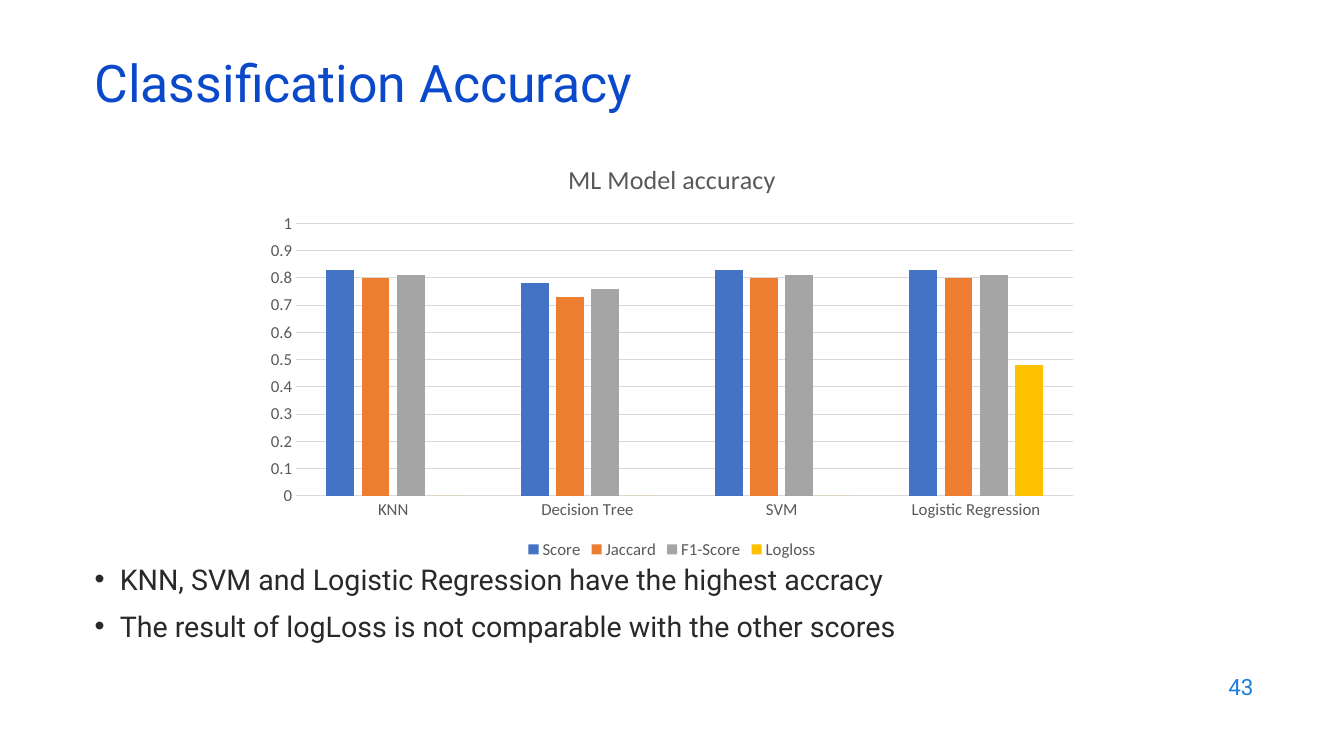
import pptx
import pptx.chart.data
import pptx.dml.color
import pptx.enum.chart
import pptx.enum.text
import pptx.oxml
import pptx.oxml.ns
import pptx.util

Inches = pptx.util.Inches
Pt = pptx.util.Pt
RGBColor = pptx.dml.color.RGBColor
Anchor = pptx.enum.text.MSO_ANCHOR
Align = pptx.enum.text.PP_ALIGN

TITLE_BLUE = RGBColor(0x0B, 0x49, 0xCB)
NUMBER_BLUE = RGBColor(0x1C, 0x7D, 0xDB)
BODY_INK = RGBColor(0x29, 0x29, 0x29)
CHART_INK = RGBColor(0x59, 0x59, 0x59)
GRID_GREY = RGBColor(0xD9, 0xD9, 0xD9)
SCORE_BLUE = RGBColor(0x44, 0x72, 0xC4)
JACCARD_ORANGE = RGBColor(0xED, 0x7D, 0x31)
F1_GREY = RGBColor(0xA5, 0xA5, 0xA5)
LOGLOSS_YELLOW = RGBColor(0xFF, 0xC0, 0x00)

MODELS = ["KNN", "Decision Tree", "SVM", "Logistic Regression"]
METRICS = [
    ("Score", [0.83, 0.78, 0.83, 0.83], SCORE_BLUE),
    ("Jaccard", [0.8, 0.73, 0.8, 0.8], JACCARD_ORANGE),
    ("F1-Score", [0.81, 0.76, 0.81, 0.81], F1_GREY),
    ("Logloss", [0, 0, 0, 0.48], LOGLOSS_YELLOW),
]
FINDINGS = [
    "KNN, SVM and Logistic Regression have the highest accracy",
    "The result of logLoss is not comparable with the other scores",
]


class SlideBuilder:
    text_font = "Roboto"
    chart_font = "Calibri"

    def __init__(self, slide):
        self.slide = slide

    def style(self, font, name, size, color):
        font.name = name
        font.size = Pt(size)
        font.color.rgb = color

    def text(self, box, lines, size, color, anchor=Anchor.TOP,
             align=Align.LEFT, spacing=1.0, gap=0, bullet=False):
        frame = self.slide.shapes.add_textbox(*map(Inches, box)).text_frame
        frame.word_wrap = True
        frame.vertical_anchor = anchor
        for index, line in enumerate(lines):
            paragraph = frame.add_paragraph() if index else frame.paragraphs[0]
            if bullet:
                self.bullet(paragraph)
            paragraph.alignment = align
            paragraph.line_spacing = spacing
            paragraph.space_before = Pt(gap if index else 0)
            run = paragraph.add_run()
            run.text = line
            self.style(run.font, self.text_font, size, color)

    def bullet(self, paragraph):
        properties = paragraph._p.get_or_add_pPr()
        properties.set("marL", str(Inches(0.25)))
        properties.set("indent", str(Inches(-0.25)))
        namespace = pptx.oxml.ns.nsdecls("a")
        for tag in ('buFont typeface="Arial"', 'buChar char="•"'):
            properties.append(pptx.oxml.parse_xml(f"<a:{tag} {namespace}/>"))

    def column_chart(self, box, title, categories, series, top):
        data = pptx.chart.data.CategoryChartData()
        data.categories = categories
        for name, values, _ in series:
            data.add_series(name, values)
        chart = self.slide.shapes.add_chart(
            pptx.enum.chart.XL_CHART_TYPE.COLUMN_CLUSTERED,
            *map(Inches, box), data).chart
        self.style(chart.font, self.chart_font, 12, CHART_INK)

        # Chart title and legend
        chart.has_title = True
        heading = chart.chart_title.text_frame.paragraphs[0].add_run()
        heading.text = title
        self.style(heading.font, self.chart_font, 18.6, CHART_INK)
        heading.font.bold = False
        chart.chart_title.include_in_layout = False
        chart.has_legend = True
        chart.legend.position = pptx.enum.chart.XL_LEGEND_POSITION.BOTTOM
        chart.legend.include_in_layout = False
        self.style(chart.legend.font, self.chart_font, 12, CHART_INK)

        # Axes
        scores = chart.value_axis
        scores.minimum_scale, scores.maximum_scale = 0, top
        scores.major_unit = top / 10
        scores.tick_labels.number_format = "General"
        scores.tick_labels.number_format_is_linked = False
        scores.has_major_gridlines = True
        for axis in (chart.category_axis, scores):
            axis.major_tick_mark = pptx.enum.chart.XL_TICK_MARK.NONE
            self.style(axis.tick_labels.font, self.chart_font, 12, CHART_INK)
        for line in (chart.category_axis.format.line,
                     scores.major_gridlines.format.line):
            line.color.rgb = GRID_GREY
            line.width = Pt(0.75)
        scores.format.line.fill.background()

        # Columns
        plot = chart.plots[0]
        plot.vary_by_categories = False
        plot.gap_width = 219
        plot.overlap = -27
        for columns, (_, _, color) in zip(plot.series, series):
            columns.format.fill.solid()
            columns.format.fill.fore_color.rgb = color


def main():
    deck = pptx.Presentation()
    deck.slide_width = Inches(13.33)
    deck.slide_height = Inches(7.5)
    builder = SlideBuilder(deck.slides.add_slide(deck.slide_layouts[6]))

    # Slide number
    builder.text((9.53, 6.59, 3, 0.44), ["43"], 16, NUMBER_BLUE,
                 anchor=Anchor.MIDDLE, align=Align.RIGHT)
    # Findings
    builder.text((0.84, 5.59, 11.5, 0.85), FINDINGS, 20.4, BODY_INK,
                 spacing=0.8, gap=14, bullet=True)
    # Title
    builder.text((0.84, 0.59, 11.5, 0.6), ["Classification Accuracy"], 37,
                 TITLE_BLUE, anchor=Anchor.MIDDLE, spacing=0.7)
    # Accuracy by model
    builder.column_chart((2.52, 1.42, 8.29, 4.17), "ML Model accuracy",
                         MODELS, METRICS, top=1)

    deck.save("out.pptx")


if __name__ == "__main__":
    main()
